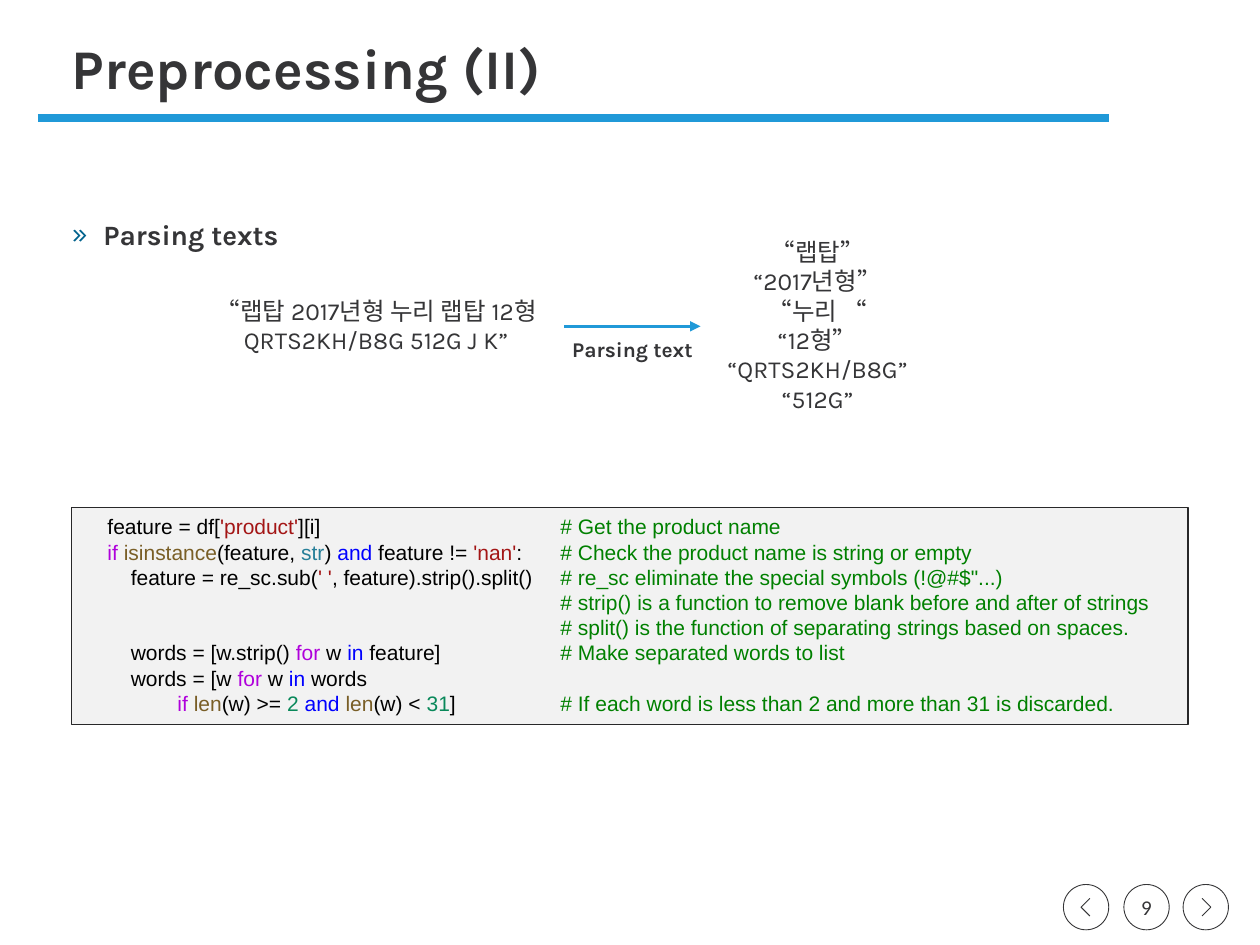
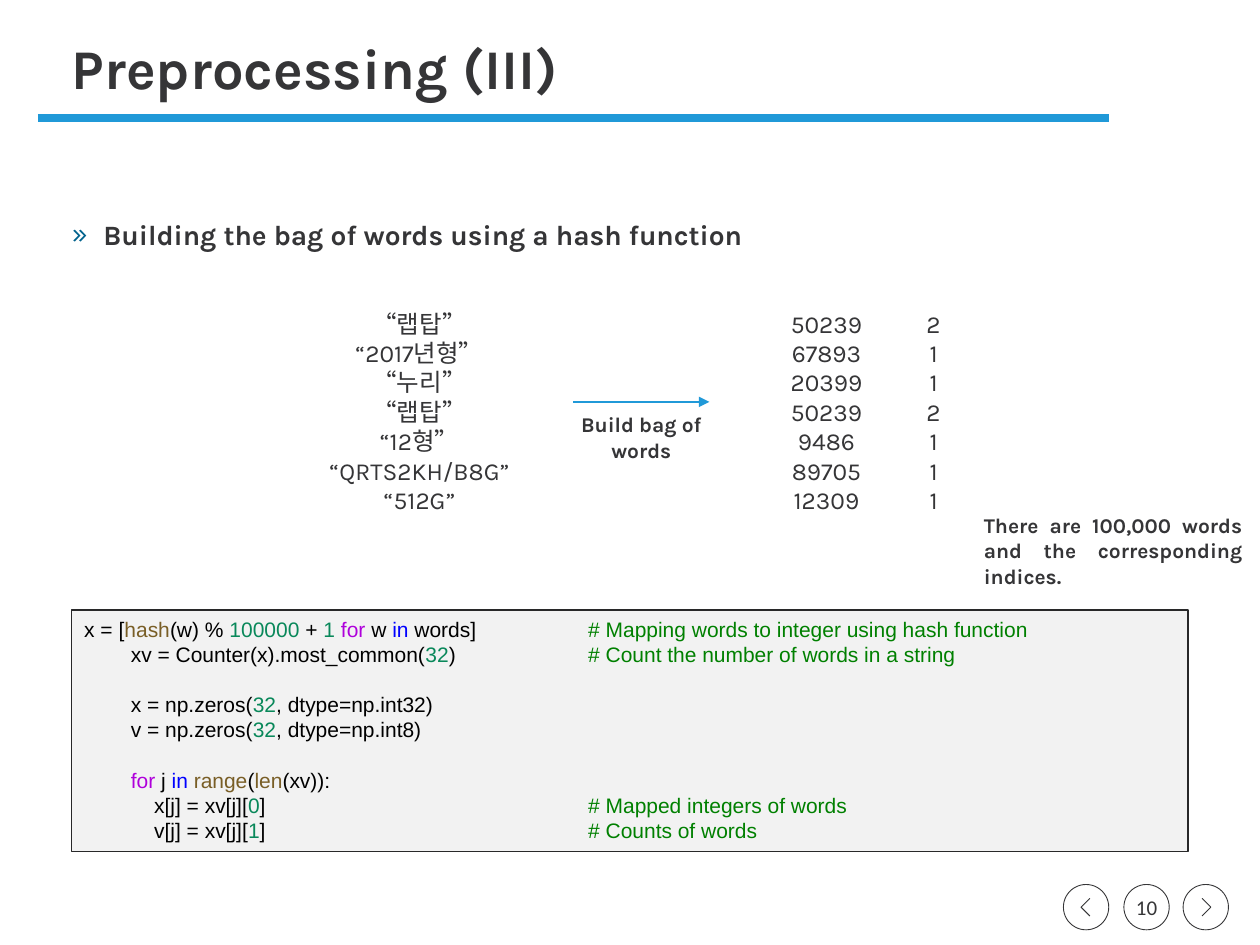
"""Build two slides on text preprocessing, each with a worked example and code."""
from lxml.etree import SubElement
from pptx import Presentation
from pptx.dml.color import RGBColor
from pptx.enum.shapes import MSO_CONNECTOR as CONNECTOR, MSO_SHAPE as SHAPE
from pptx.enum.text import MSO_ANCHOR as ANCHOR, MSO_AUTO_SIZE as AUTO_SIZE, PP_ALIGN as ALIGN
from pptx.oxml.ns import qn
from pptx.util import Inches, Pt

COLOURS = {
    "text": "353537", "accent": "2099D8", "bullet": "01628D",
    "panel": "F2F2F2", "panel_line": "282829",
    "code": "000000", "string": "A31515", "control": "AF00DB", "operator": "0000FF",
    "function": "795E26", "type": "267F99", "number": "09885A", "comment": "008000",
}
TOKENS = {
    "if": "control", "for": "control", "in": "operator", "and": "operator",
    "isinstance": "function", "len": "function", "hash": "function",
    "range": "function", "str": "type",
}
FONT = "Karla"
CODE_LINE = Pt(14.4)
INDENT_STEP = 0.185

PARSING_CODE = [
    (1, "feature = df[|'product'|][i]", "# Get the product name"),
    (1, "if |isinstance|(feature, |str|) |and| feature != |'nan'|:",
     "# Check the product name is string or empty"),
    (2, "feature = re_sc.sub(|' '|, feature).strip().split()",
     "# re_sc eliminate the special symbols (!@#$\"...)"),
    (0, "", "# strip() is a function to remove blank before and after of strings"),
    (0, "", "# split() is the function of separating strings based on spaces."),
    (2, "words = [w.strip() |for| w |in| feature]", "# Make separated words to list"),
    (2, "words = [w |for| w |in| words", ""),
    (4, "if |len|(w) >= |2 |and |len|(w) < |31|]",
     "# If each word is less than 2 and more than 31 is discarded."),
]
HASHING_CODE = [
    (0, "x = [|hash|(w) % |100000| + |1 |for| w |in| words]",
     "# Mapping words to integer using hash function"),
    (2, "xv = Counter(x).most_common(|32|)", "# Count the number of words in a string"),
    (2, "x = np.zeros(|32|, dtype=np.int32)", ""),
    (2, "v = np.zeros(|32|, dtype=np.int8)", ""),
    (2, "for| j |in |range|(|len|(xv)):", ""),
    (3, "x[j] = xv[j][|0|]", "# Mapped integers of words"),
    (3, "v[j] = xv[j][|1|]", "# Counts of words"),
]


def colour(name):
    """Return the named colour."""
    return RGBColor.from_string(COLOURS[name])


def set_font(font, size, bold=False, name=FONT, tint="text"):
    """Apply typeface, size, weight and colour."""
    font.name, font.size, font.bold = name, Pt(size), bold
    font.color.rgb = colour(tint)


def place(shape, left, top, width, height):
    """Move and size a shape, in inches."""
    shape.left, shape.top = Inches(left), Inches(top)
    shape.width, shape.height = Inches(width), Inches(height)


def add_line(slide, start, end, width, arrow=False):
    """Draw a straight accent line, with an arrowhead if wanted."""
    line = slide.shapes.add_connector(CONNECTOR.STRAIGHT, *map(Inches, start + end))
    line.line.color.rgb = colour("accent")
    line.line.width = Pt(width)
    properties = line._element.spPr
    if arrow:
        SubElement(properties.find(qn("a:ln")), qn("a:tailEnd"), type="triangle")
    SubElement(properties, qn("a:effectLst"))


def outline(shape):
    """Give a navigation shape a thin line and no fill."""
    shape.shadow.inherit = False
    shape.fill.background()
    shape.line.color.rgb = colour("text")
    shape.line.width = Pt(0.5)


def add_circle(slide, centre):
    """Draw one navigation circle."""
    circle = slide.shapes.add_shape(
        SHAPE.OVAL, Inches(centre - 0.18), Inches(7.02), Inches(0.36), Inches(0.36))
    outline(circle)
    return circle


def add_chevron(slide, centre, direction):
    """Draw an open chevron pointing left (-1) or right (1)."""
    tip, tail = centre + 0.04 * direction, centre - 0.03 * direction
    builder = slide.shapes.build_freeform(Inches(tail), Inches(7.13))
    builder.add_line_segments(
        [(Inches(tip), Inches(7.2)), (Inches(tail), Inches(7.27))], close=False)
    outline(builder.convert_to_shape())


def add_navigation(slide, number):
    """Add the page number between its two arrows."""
    page = add_circle(slide, 9.1).text_frame
    page.margin_left = page.margin_right = 0
    page.word_wrap = False
    page.vertical_anchor = ANCHOR.MIDDLE
    page.text = str(number)
    page.paragraphs[0].alignment = ALIGN.CENTER
    set_font(page.paragraphs[0].font, 12, name="Calibri")
    for centre, direction in ((8.62, -1), (9.57, 1)):
        add_circle(slide, centre)
        add_chevron(slide, centre, direction)


def set_heading(title, wording):
    """Fill and format the title placeholder."""
    place(title, 0.47, 0.24, 8.81, 0.66)
    frame = title.text_frame
    frame.text = wording
    frame.auto_size = AUTO_SIZE.NONE
    frame.vertical_anchor = ANCHOR.MIDDLE
    heading = frame.paragraphs[0]
    heading.alignment = ALIGN.LEFT
    heading.line_spacing = 0.9
    set_font(heading.font, 32, bold=True)


def set_topic(body, wording):
    """Fill the body placeholder with one bulleted topic."""
    place(body, 0.47, 1.62, 9.06, 5.36)
    body.text_frame.text = wording
    body.text_frame.auto_size = AUTO_SIZE.NONE
    topic = body.text_frame.paragraphs[0]
    topic.line_spacing = 1.2
    topic.space_before, topic.space_after = Pt(0), Pt(6)
    set_font(topic.font, 16, bold=True)
    properties = topic._p.get_or_add_pPr()
    properties.set("marL", str(Inches(0.25)))
    properties.set("indent", str(-Inches(0.25)))
    bullet = SubElement(properties, qn("a:buClr"))
    SubElement(bullet, qn("a:srgbClr"), val=COLOURS["bullet"])
    SubElement(properties, qn("a:buFont"), typeface=FONT)
    SubElement(properties, qn("a:buChar"), char="»")
    properties.append(properties.find(qn("a:defRPr")))


def add_text(slide, box, lines, size=14, bold=False, align=ALIGN.CENTER):
    """Add a wrapped text box with one paragraph per line."""
    frame = slide.shapes.add_textbox(*map(Inches, box)).text_frame
    frame.word_wrap = True
    frame.text = "\n".join(lines)
    for paragraph in frame.paragraphs:
        paragraph.alignment = align
        set_font(paragraph.font, size, bold)


def add_step(slide, left, top, label):
    """Add an arrow with its label centred underneath."""
    add_line(slide, (left, top), (left + 1.08, top), 1.5, arrow=True)
    add_text(slide, (left - 0.11, top + 0.03, 1.3, 0.3), [label], 12, bold=True)


def token_colour(token):
    """Choose the syntax colour of a piece of code."""
    token = token.strip()
    if token.isdigit():
        return "number"
    if token.startswith("'"):
        return "string"
    return TOKENS.get(token, "code")


def set_tab_stops(paragraph, stops):
    """Set left tab stops, in inches from the text edge."""
    properties = paragraph._p.get_or_add_pPr()
    tabs = SubElement(properties, qn("a:tabLst"))
    for stop in stops:
        SubElement(tabs, qn("a:tab"), pos=str(Inches(stop)), algn="l")
    properties.append(properties.find(qn("a:defRPr")))


def add_code_line(paragraph, line, comment_stop):
    """Write one coloured line of code with its comment."""
    level, code, comment = line
    paragraph.alignment = ALIGN.LEFT
    paragraph.line_spacing = CODE_LINE
    set_font(paragraph.font, 12, name="Arial", tint="code")
    set_tab_stops(paragraph, ([level * INDENT_STEP] if level else []) + [comment_stop])
    pieces = [(piece, token_colour(piece)) for piece in code.split("|") if piece]
    if level:
        pieces.insert(0, ("\t", "code"))
    if comment:
        pieces += [("\t", "code"), (comment, "comment")]
    for wording, tint in pieces:
        run = paragraph.add_run()
        run.text = wording
        set_font(run.font, 12, name="Arial", tint=tint)


def add_code(slide, top, height, lines, comment_stop, gaps_before=()):
    """Add the code panel, leaving a line free before the given lines."""
    panel = slide.shapes.add_shape(
        SHAPE.RECTANGLE, Inches(0.57), Inches(top), Inches(8.86), Inches(height))
    panel.shadow.inherit = False
    panel.fill.solid()
    panel.fill.fore_color.rgb = colour("panel")
    panel.line.color.rgb = colour("panel_line")
    panel.line.width = Pt(0.75)
    frame = panel.text_frame
    frame.word_wrap = True
    frame.vertical_anchor = ANCHOR.TOP
    for index, line in enumerate(lines):
        paragraph = frame.add_paragraph() if index else frame.paragraphs[0]
        if index in gaps_before:
            paragraph.space_before = CODE_LINE
        add_code_line(paragraph, line, comment_stop)


def add_base(deck, number, heading, topic):
    """Start a slide with everything the slides share."""
    slide = deck.slides.add_slide(deck.slide_layouts[1])
    set_heading(slide.shapes.title, heading)
    set_topic(slide.placeholders[1], topic)
    add_line(slide, (0.3, 0.94), (8.8, 0.94), 4.5)
    add_navigation(slide, number)
    return slide


def build_parsing(deck):
    """Build the slide on splitting a product name into words."""
    slide = add_base(deck, 9, "Preprocessing (II)", "Parsing texts")
    add_text(slide, (1.39, 2.3, 3.19, 0.57),
             ["“랩탑 2017년형 누리 랩탑 12형 QRTS2KH/B8G 512G J K”"])
    add_step(slide, 4.48, 2.59, "Parsing text")
    add_text(slide, (5.56, 1.83, 1.86, 1.51),
             ["“랩탑”", "“2017년형”", "“누리 “", "“12형”", "“QRTS2KH/B8G”", "“512G”"])
    add_code(slide, 4.03, 1.72, PARSING_CODE, 3.78)


def build_hashing(deck):
    """Build the slide on hashing words and counting them."""
    slide = add_base(deck, 10, "Preprocessing (III)",
                     "Building the bag of words using a hash function")
    words = ["“랩탑”", "“2017년형”", "“누리”", "“랩탑”", "“12형”", "“QRTS2KH/B8G”", "“512G”"]
    hashes = ["50239", "67893", "20399", "50239", "9486", "89705", "12309"]
    counts = ["2", "1", "1", "2", "1", "1", "1"]
    for left, column in ((2.4, words), (5.63, hashes), (6.48, counts)):
        add_text(slide, (left, 2.4, 1.86, 1.75), column)
    add_step(slide, 4.55, 3.19, "Build bag of words")
    add_text(slide, (7.71, 4.02, 2.25, 0.71),
             ["There are 100,000 words and the corresponding indices."],
             12, bold=True, align=ALIGN.JUSTIFY)
    add_code(slide, 4.84, 1.92, HASHING_CODE, 4, gaps_before=(2, 4))


def main():
    """Build and save the deck."""
    deck = Presentation()
    deck.slide_width, deck.slide_height = Inches(10), Inches(7.5)
    build_parsing(deck)
    build_hashing(deck)
    deck.save("out.pptx")


if __name__ == "__main__":
    main()
